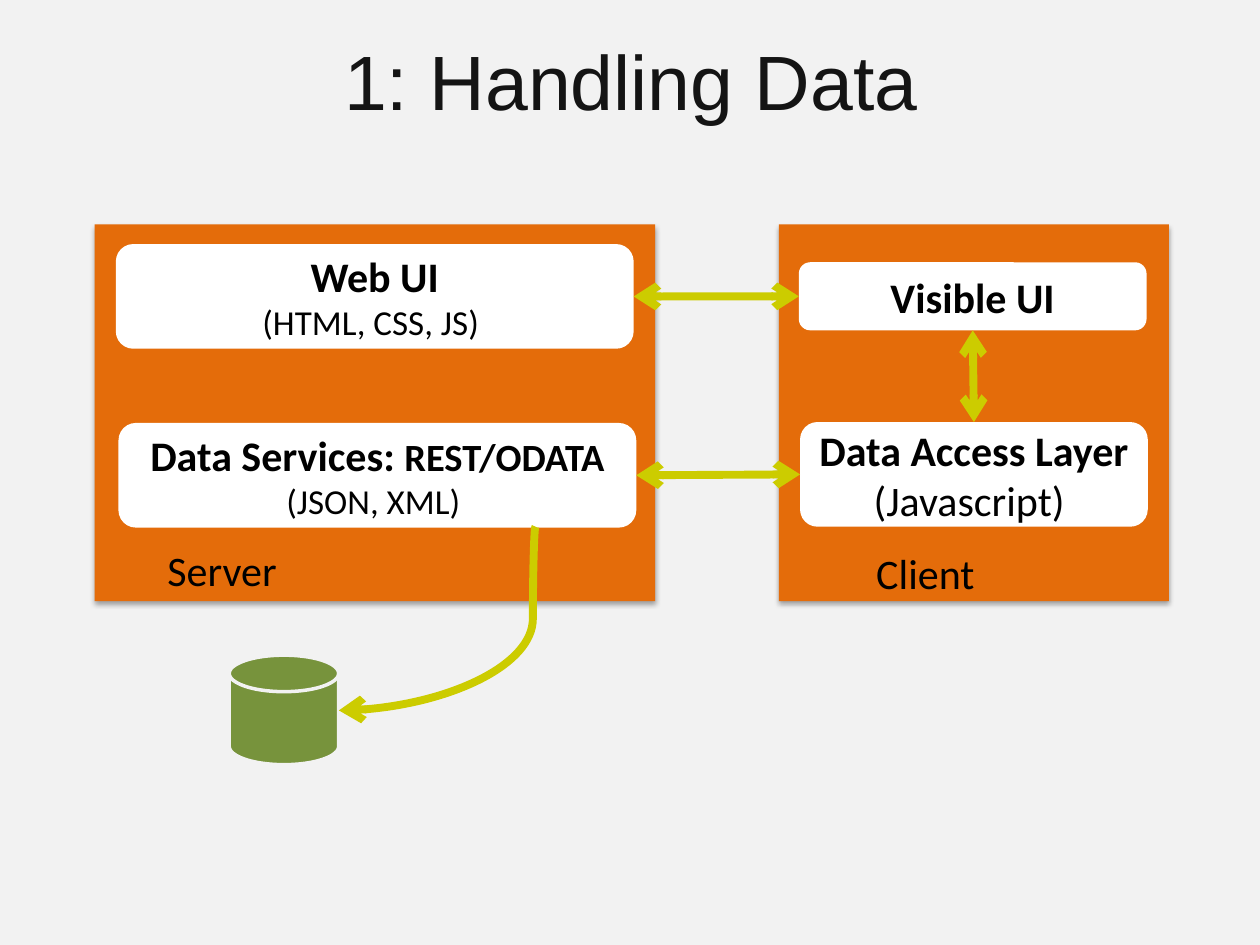
"""Build the data handling architecture slide."""
from dataclasses import dataclass

from lxml import etree
from pptx import Presentation
from pptx import util as u
from pptx.dml.color import RGBColor
from pptx.enum import shapes, text
from pptx.oxml import ns


@dataclass(frozen=True)
class Theme:
    """Colours, fonts and type sizes of the deck."""
    backdrop: str = "F2F2F2"
    title_ink: str = "141414"
    ink: str = "000000"
    panel: str = "E46C0A"
    card: str = "FFFFFF"
    arrow: str = "CCCC00"
    disk: str = "77933C"
    title_font: str = "Arial"
    body_font: str = "Calibri"
    title_size: float = 44
    body_size: float = 24
    protocol_size: float = 22
    detail_size: float = 20
    arrow_width: float = 4.5
    disk_outline: float = 2


def assign(target, values):
    """Set every attribute named in a dict of values."""
    for name, value in values.items():
        setattr(target, name, value)


def add_element(parent, tag, **attributes):
    """Append a DrawingML element to a parent."""
    return etree.SubElement(parent, ns.qn(tag), attributes)


class Painter:
    """Hold the theme and the current page, and draw each kind of element."""

    def __init__(self, theme, page):
        """Keep the style and paint the page background."""
        self.theme, self.page = theme, page
        self.paint(page.background.fill, theme.backdrop)

    def paint(self, fill, color):
        """Make a fill solid."""
        fill.solid()
        fill.fore_color.rgb = RGBColor.from_string(color)

    def typeset(self, frame, lines, align, anchor, font=None, color=None):
        """Fill a text frame with lines of (words, size, bold) spans."""
        assign(frame, {"word_wrap": True, "vertical_anchor": anchor})
        for index, line in enumerate(lines):
            para = frame.add_paragraph() if index else frame.paragraphs[0]
            para.alignment = align
            for words, size, bold in line:
                span = para.add_run()
                span.text = words
                assign(span.font, {"name": font or self.theme.body_font,
                                   "size": u.Pt(size), "bold": bold})
                span.font.color.rgb = RGBColor.from_string(color or self.theme.ink)

    def title(self, words, left, top, width, height):
        """Place and format the title placeholder."""
        box = self.page.shapes.title
        assign(box, {"left": u.Pt(left), "top": u.Pt(top),
                     "width": u.Pt(width), "height": u.Pt(height)})
        self.typeset(box.text_frame, [[(words, self.theme.title_size, False)]],
                     text.PP_ALIGN.CENTER, text.MSO_ANCHOR.MIDDLE,
                     self.theme.title_font, self.theme.title_ink)

    def shape(self, kind, color, *place):
        """Add a plain filled shape without line or shadow."""
        box = self.page.shapes.add_shape(kind, *map(u.Pt, place))
        self.paint(box.fill, color)
        box.line.fill.background()
        box.shadow.inherit = False
        return box

    def panel(self, *place):
        """Add a panel that casts a soft shadow downwards."""
        box = self.shape(shapes.MSO_SHAPE.RECTANGLE, self.theme.panel, *place)
        effects = box._element.spPr.find(ns.qn("a:effectLst"))
        shadow = add_element(effects, "a:outerShdw", blurRad=str(u.Pt(3.1)),
                             dist=str(u.Pt(1.8)), dir="5400000", rotWithShape="0")
        shade = add_element(shadow, "a:srgbClr", val=self.theme.ink)
        add_element(shade, "a:alpha", val="35000")

    def card(self, lines, *place):
        """Add a rounded card with centred text."""
        box = self.shape(shapes.MSO_SHAPE.ROUNDED_RECTANGLE, self.theme.card, *place)
        self.typeset(box.text_frame, lines, text.PP_ALIGN.CENTER, text.MSO_ANCHOR.MIDDLE)
        return box

    def label(self, words, align, *place):
        """Add a text box naming a panel."""
        box = self.page.shapes.add_textbox(*map(u.Pt, place))
        self.typeset(box.text_frame, [[(words, self.theme.body_size, False)]],
                     align, text.MSO_ANCHOR.TOP)
        box.text_frame.auto_size = text.MSO_AUTO_SIZE.SHAPE_TO_FIT_TEXT

    def disk(self, *place):
        """Add the database symbol."""
        box = self.shape(shapes.MSO_SHAPE.FLOWCHART_MAGNETIC_DISK, self.theme.disk, *place)
        self.paint(box.line.fill, self.theme.backdrop)
        box.line.width = u.Pt(self.theme.disk_outline)

    def arrow(self, kind, ends, *points):
        """Add a connector with arrowheads at the named ends."""
        line = self.page.shapes.add_connector(kind, *map(u.Pt, points))
        self.paint(line.line.fill, self.theme.arrow)
        line.line.width = u.Pt(self.theme.arrow_width)
        for end in ends:
            add_element(line._element.spPr.find(ns.qn("a:ln")), end, type="arrow")
        add_element(line._element.spPr, "a:effectLst")
        return line

    def link(self, first, first_side, second, second_side):
        """Join two cards with a double-headed arrow."""
        line = self.arrow(shapes.MSO_CONNECTOR.STRAIGHT, ("a:headEnd", "a:tailEnd"), 0, 0, 0, 0)
        line.begin_connect(first, first_side)
        line.end_connect(second, second_side)

    def curve(self, bend, *points):
        """Add a curved arrow whose head is at its start."""
        line = self.arrow(shapes.MSO_CONNECTOR.CURVE, ("a:headEnd",), *points)
        guides = line._element.spPr.find(ns.qn("a:prstGeom")).get_or_add_avLst()
        add_element(guides, "a:gd", name="adj1", fmla=f"val {round(bend * 100000)}")


def main():
    """Build and save the deck."""
    deck = Presentation()
    assign(deck, {"slide_width": u.Pt(720), "slide_height": u.Pt(540)})
    theme = Theme()
    painter = Painter(theme, deck.slides.add_slide(deck.slide_layouts[5]))
    top, left, bottom, right = range(4)
    body, detail = theme.body_size, theme.detail_size

    painter.title("1: Handling Data", 36.7, 17.3, 648, 56.9)
    for x, width in ((54, 320.4), (445, 223)):
        painter.panel(x, 128.2, width, 215.3)

    access = painter.card([[("Data Access Layer", body, True)],
                           [("(Javascript) ", body, False)]], 457.2, 241.2, 198.7, 59.8)
    services = painter.card([[("Data Services: ", body, True),
                              ("REST/ODATA", theme.protocol_size, True)],
                             [("(JSON, XML) ", detail, False)]], 67.7, 241.7, 295.9, 59.8)
    painter.link(services, right, access, left)

    painter.label("Server", text.PP_ALIGN.LEFT, 88.6, 307.4, 182.9, 36)
    painter.label("Client", text.PP_ALIGN.CENTER, 491, 309.6, 75.6, 36)
    painter.disk(131, 374.4, 62.6, 62.6)
    painter.curve(0.987, 193.7, 406, 306, 301)

    web = painter.card([[("Web UI", body, True)],
                        [("(HTML, CSS, JS) ", detail, False)]], 66.2, 139.5, 295.9, 59.8)
    visible = painter.card([[("Visible UI", body, True)]], 456.5, 149.9, 198.7, 38.9)
    painter.link(web, right, visible, left)
    painter.link(visible, bottom, access, top)
    deck.save("out.pptx")


if __name__ == "__main__":
    main()
